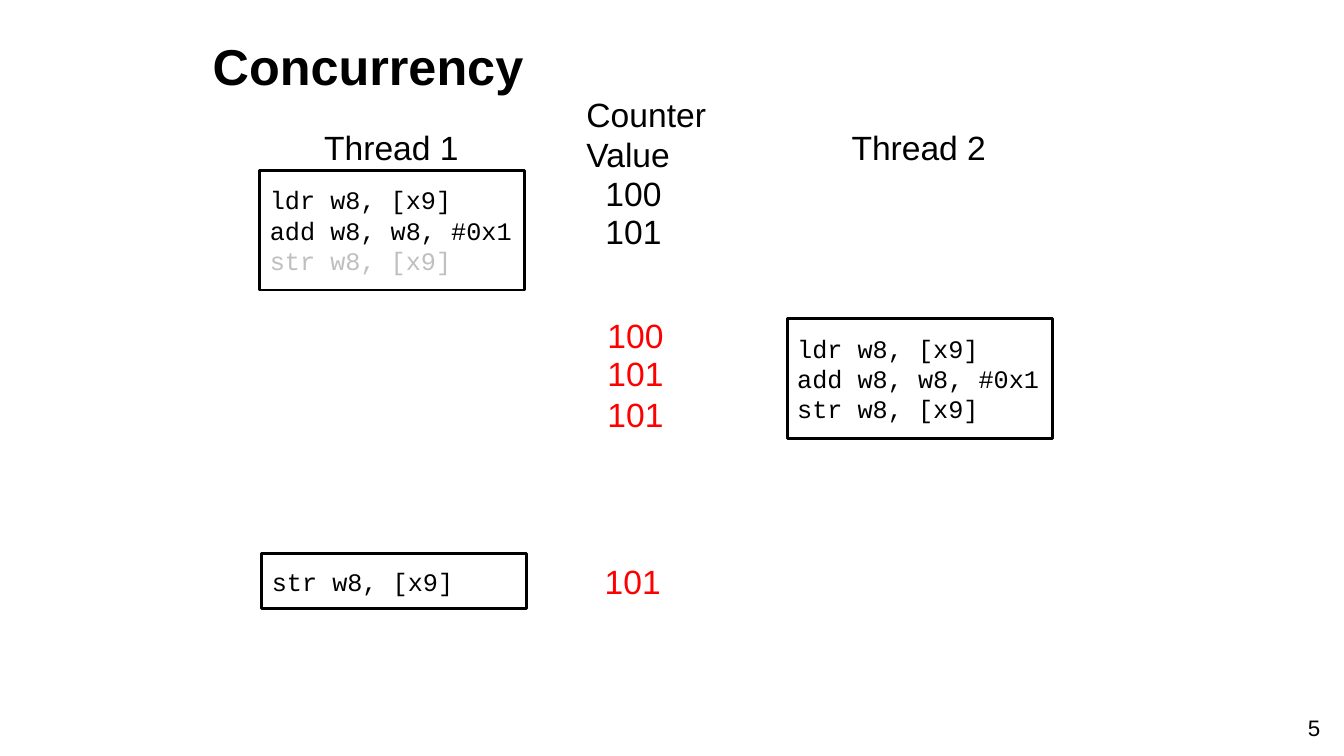
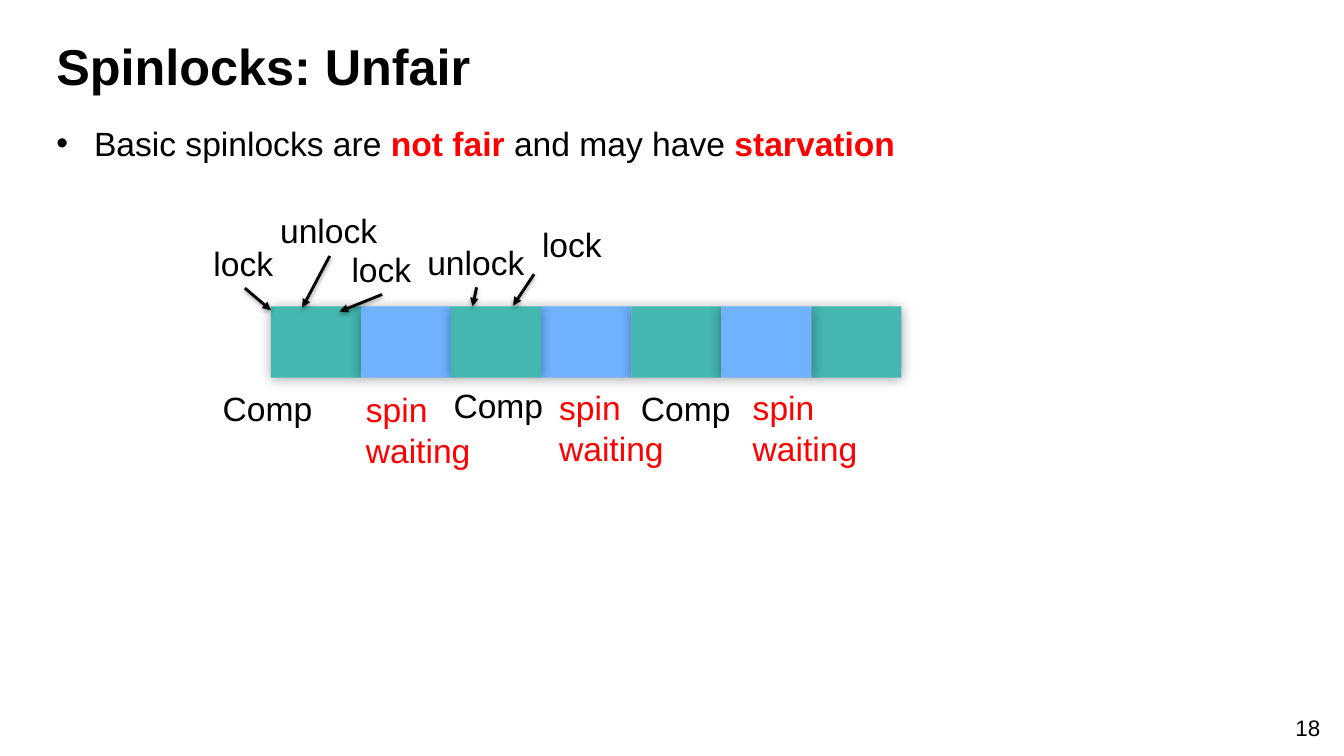
from lxml import etree
from pptx import Presentation
from pptx.dml.color import RGBColor as Rgb
from pptx.enum.shapes import MSO_CONNECTOR as Connector, MSO_SHAPE as Shape
from pptx.enum.text import MSO_ANCHOR as Anchor, PP_ALIGN as Align
from pptx.oxml.ns import qn
from pptx.util import Cm, Pt

COLORS = {
    "text": "000000", "paper": "FFFFFF", "alert": "FF0000", "faded": "BFBFBF",
    "compute": "43B7B0", "spin": "6FB3FE",
}
SANS, MONO = "Arial", "Courier New"
LINE_HEIGHT = 1.27  # height of a one-line label, cm

CELL_SHADOW = {"alpha": 35, "blur": 9, "distance": 1}
ARROW_SHADOW = {"alpha": 38, "blur": 3.1, "distance": 1.6}


def color(name):
    return Rgb.from_string(COLORS[name])


# Shared building parts
def write_text(shape, paras, size=24, font=SANS, ink="text", bold=False,
               align=Align.LEFT, anchor=Anchor.TOP, wrap=True, bullet=None):
    """Each paragraph is a string or a list of (text, overrides) spans."""
    frame = shape.text_frame
    frame.word_wrap = wrap
    frame.vertical_anchor = anchor
    for index, spans in enumerate(paras):
        para = frame.paragraphs[0] if index == 0 else frame.add_paragraph()
        para.alignment = align
        if bullet:
            props = para._p.get_or_add_pPr()
            props.set("marL", str(Cm(0.95)))
            props.set("indent", str(-Cm(0.95)))
            etree.SubElement(props, qn("a:buFont"), typeface=SANS)
            etree.SubElement(props, qn("a:buChar"), char=bullet)
        for text, changes in [(spans, {})] if isinstance(spans, str) else spans:
            span = para.add_run()
            span.text = text
            span.font.name = font
            span.font.size = Pt(size)
            span.font.bold = changes.get("bold", bold)
            span.font.color.rgb = color(changes.get("ink", ink))


def add_text(page, box, paras, **style):
    shape = page.shapes.add_textbox(*map(Cm, box))
    write_text(shape, [paras] if isinstance(paras, str) else paras, **style)


def add_rect(page, box, fill):
    rect = page.shapes.add_shape(Shape.RECTANGLE, *map(Cm, box))
    rect.fill.solid()
    rect.fill.fore_color.rgb = color(fill)
    return rect


def set_shadow(shape, alpha, blur, distance):
    effects = etree.SubElement(shape._element.spPr, qn("a:effectLst"))
    shadow = etree.SubElement(effects, qn("a:outerShdw"), blurRad=str(Pt(blur)),
                              dist=str(Pt(distance)), dir="5400000", rotWithShape="0")
    shade = etree.SubElement(shadow, qn("a:srgbClr"), val=COLORS["text"])
    etree.SubElement(shade, qn("a:alpha"), val=str(alpha * 1000))


def add_arrow(page, start, end):
    arrow = page.shapes.add_connector(Connector.STRAIGHT, *map(Cm, (*start, *end)))
    arrow.line.width = Pt(2)
    arrow.line.color.rgb = color("text")
    etree.SubElement(arrow.line._get_or_add_ln(), qn("a:tailEnd"), type="triangle")
    set_shadow(arrow, **ARROW_SHADOW)


def add_page(deck, title, number, title_left):
    page = deck.slides.add_slide(deck.slide_layouts[6])
    add_text(page, (title_left, 0.76, 32.66 - title_left, 1.8), title,
             size=36, bold=True, anchor=Anchor.MIDDLE)
    add_text(page, (31.95, 17.86, 1.57, 1.02), number, size=16, align=Align.RIGHT)
    return page


# Concurrency: two threads and the counter between them
def add_code(page, box, lines):
    rect = add_rect(page, box, "paper")
    rect.shadow.inherit = False
    rect.line.color.rgb = color("text")
    rect.line.width = Pt(2)
    write_text(rect, lines, size=18, font=MONO, anchor=Anchor.MIDDLE)


def add_thread(page, box, name, lines):
    left, _, width, _ = box
    add_code(page, box, lines)
    label_width = 3.94
    add_text(page, (left + (width - label_width) / 2, 3.07, label_width, LINE_HEIGHT),
             name, wrap=False)


def add_counter(page, left, top):
    add_text(page, (left, top, 3.78, 2.31), ["Counter", "Value"], wrap=False)
    values = [
        (0.48, 2, "100", "text"), (0.48, 2.94, "101", "text"),
        (0.53, 5.58, "100", "alert"), (0.53, 6.52, "101", "alert"),
        (0.53, 7.56, "101", "alert"), (0.46, 11.76, "101", "alert"),
    ]
    for dx, dy, value, ink in values:
        add_text(page, (left + dx, top + dy, 1.93, LINE_HEIGHT), value,
                 ink=ink, wrap=False)


def build_concurrency(deck):
    page = add_page(deck, "Concurrency", "5", title_left=5.11)
    load, add, store = "ldr w8, [x9]", "add w8, w8, #0x1", "str w8, [x9]"
    width, height = 6.68, 3.02
    add_thread(page, (6.55, 4.29, width, height), "Thread 1",
               [load, add, [(store, {"ink": "faded"})]])
    add_thread(page, (19.84, 8.03, width, height), "Thread 2", [load, add, store])
    add_code(page, (6.6, 13.94, width, 1.4), [store])
    add_counter(page, 14.53, 2.24)


# Spinlocks: a strip of time slots with labels above and below
def add_timeline(page, left, top, cell_width, cell_height):
    # Later cells cast their shadow on earlier ones
    for index in (0, 1, 3, 2, 6, 4, 5):
        cell = add_rect(page, (left + index * cell_width, top, cell_width, cell_height),
                        "spin" if index % 2 else "compute")
        cell.line.fill.background()
        set_shadow(cell, **CELL_SHADOW)

    # Lock events: label corner, arrow start, arrow end
    events = [
        ("lock", (-1.7, -1.73), (-0.66, -0.46), (0, 0.1)),
        ("unlock", (-0.02, -2.56), (1.48, -1.27), (0.79, 0.03)),
        ("lock", (1.78, -1.57), (2.8, -0.3), (1.73, 0.13)),
        ("unlock", (3.69, -1.75), (5.18, -0.48), (5.08, 0)),
        ("lock", (6.58, -2.21), (6.63, -0.81), (6.1, -0.02)),
    ]
    for name, *offsets in events:
        corner, start, end = [(left + dx, top + dy) for dx, dy in offsets]
        add_text(page, (*corner, 3 if name == "unlock" else 2.03, LINE_HEIGHT),
                 name, wrap=False)
        add_arrow(page, start, end)

    # Activities under the strip
    activities = {
        ("Comp", "text", 2.95, LINE_HEIGHT): [(-1.47, 1.93), (4.35, 1.86), (9.07, 1.93)],
        ("spin waiting", "alert", 4.27, 2.31): [(2.14, 1.96), (7.01, 1.91), (11.89, 1.91)],
    }
    for (name, ink, width, height), places in activities.items():
        for dx, dy in places:
            add_text(page, (left + dx, top + dy, width, height), name, ink=ink)


def build_spinlocks(deck):
    page = add_page(deck, "Spinlocks: Unfair", "18", title_left=1.17)
    strong = {"ink": "alert", "bold": True}
    sentence = [("Basic spinlocks are ", {}), ("not fair ", strong),
                ("and may have ", {}), ("starvation", strong)]
    add_text(page, (1.17, 2.97, 31.5, 14.27), [sentence], bullet="•")
    add_timeline(page, 6.83, 7.72, cell_width=2.27, cell_height=1.8)


def main():
    deck = Presentation()
    deck.slide_width, deck.slide_height = Cm(33.87), Cm(19.05)
    build_concurrency(deck)
    build_spinlocks(deck)
    deck.save("out.pptx")


if __name__ == "__main__":
    main()
